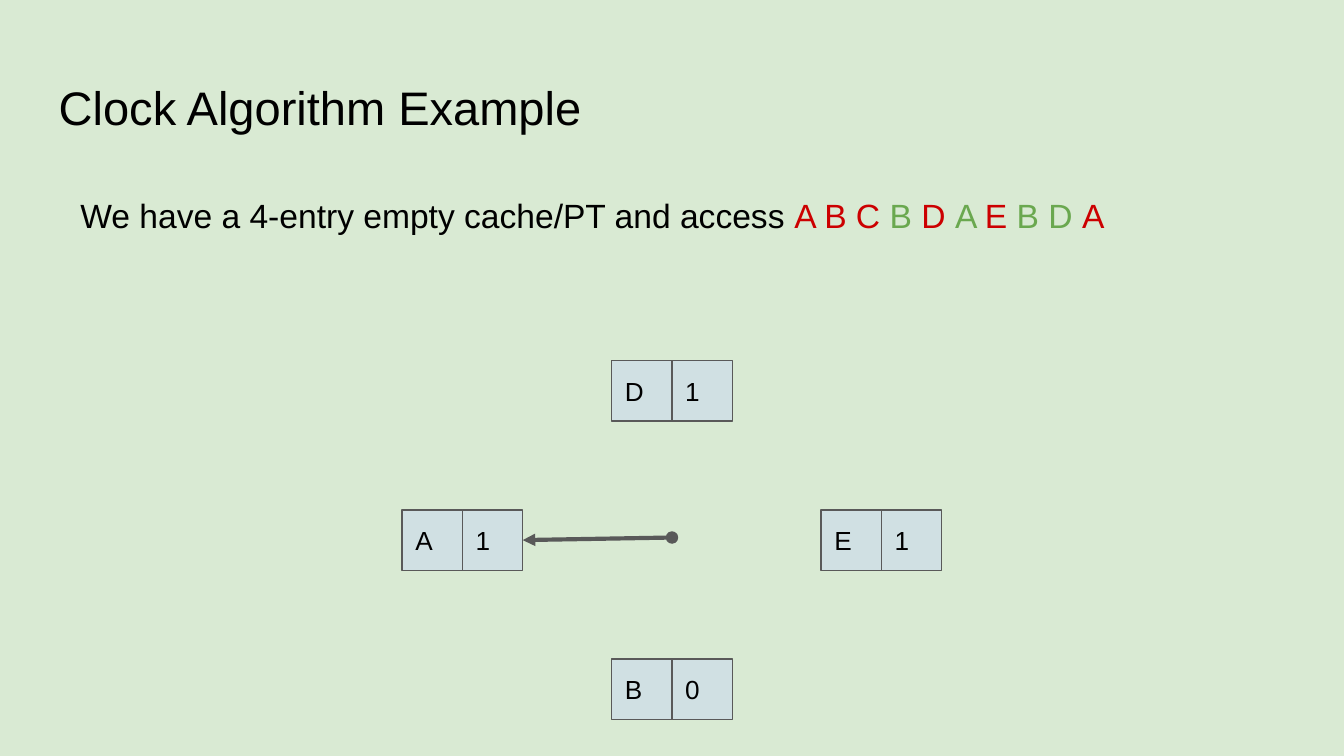
from lxml import etree
from pptx import Presentation
from pptx.dml.color import RGBColor
from pptx.enum.shapes import MSO_CONNECTOR, MSO_SHAPE
from pptx.enum.text import MSO_ANCHOR, PP_ALIGN
from pptx.oxml.ns import qn
from pptx.util import Cm, Pt

RECTANGLE = MSO_SHAPE.RECTANGLE
STRAIGHT = MSO_CONNECTOR.STRAIGHT
TOP, MIDDLE = MSO_ANCHOR.TOP, MSO_ANCHOR.MIDDLE
LEFT = PP_ALIGN.LEFT
RIGHT_SIDE = 3

BACKGROUND, CELL_FILL, OUTLINE = "D9EAD3", "D0E0E3", "595959"
BLACK, MISS, HIT = "000000", "CC0000", "6AA84F"
INSET = Cm(0.25)
CELL = 1.14
CLOCK_X, CLOCK_Y = 12.7, 10.21
RADIUS_X, RADIUS_Y = 3.96, 2.82
HUB_Y = 10.16

ACCESSES = [
    ("A B C ", MISS), ("B ", HIT), ("D ", MISS), ("A ", HIT),
    ("E ", MISS), ("B D ", HIT), ("A", MISS),
]
ENTRIES = [("D", "1", 0, -1), ("E", "1", 1, 0), ("B", "0", 0, 1), ("A", "1", -1, 0)]


def color(hex_value):
    """Return the colour for a hex string."""
    return RGBColor.from_string(hex_value)


def apply_format(target, values):
    """Set each attribute of target from a dict of values."""
    for name, value in values.items():
        setattr(target, name, value)


def write_text(shape, runs, size, anchor=TOP, paragraph_format=None):
    """Write coloured runs as the single paragraph of a shape."""
    frame = shape.text_frame
    apply_format(frame, {
        "word_wrap": True, "vertical_anchor": anchor,
        "margin_left": INSET, "margin_right": INSET,
        "margin_top": INSET, "margin_bottom": INSET,
    })
    paragraph = frame.paragraphs[0]
    apply_format(paragraph, {"alignment": LEFT, **(paragraph_format or {})})
    for words, hex_value in runs:
        run = paragraph.add_run()
        run.text = words
        apply_format(run.font, {"name": "Arial", "size": Pt(size)})
        run.font.color.rgb = color(hex_value)


def add_text(slide, box, runs, size, paragraph_format=None):
    """Add a text box at left, top, width, height in centimetres."""
    label = slide.shapes.add_textbox(*map(Cm, box))
    write_text(label, runs, size, paragraph_format=paragraph_format)


def add_cell(slide, left, top, content):
    """Add one square cell and return it."""
    cell = slide.shapes.add_shape(RECTANGLE, Cm(left), Cm(top), Cm(CELL), Cm(CELL))
    cell.shadow.inherit = False
    cell.fill.solid()
    cell.fill.fore_color.rgb = color(CELL_FILL)
    cell.line.color.rgb = color(OUTLINE)
    cell.line.width = Pt(0.75)
    write_text(cell, [(content, BLACK)], 14, MIDDLE)
    return cell


def add_entry(slide, page, use_bit, column, row):
    """Add a page cell with its use bit and return the bit cell."""
    center_x = CLOCK_X + column * RADIUS_X
    top = CLOCK_Y + row * RADIUS_Y - CELL / 2
    add_cell(slide, center_x - CELL, top, page)
    return add_cell(slide, center_x, top, use_bit)


def add_clock_hand(slide, target_cell):
    """Draw the hand from the clock's hub to the right side of a cell."""
    hub = Cm(CLOCK_X), Cm(HUB_Y)
    hand = slide.shapes.add_connector(STRAIGHT, *hub, *hub)
    hand.end_connect(target_cell, RIGHT_SIDE)
    hand.line.color.rgb = color(OUTLINE)
    hand.line.width = Pt(2.25)
    outline = hand.line._get_or_add_ln()
    for tag, kind in (("a:headEnd", "oval"), ("a:tailEnd", "triangle")):
        etree.SubElement(outline, qn(tag), type=kind, w="med", len="med")
    etree.SubElement(hand._element.spPr, qn("a:effectLst"))


def main():
    """Build and save the clock algorithm slide."""
    presentation = Presentation()
    apply_format(presentation, {"slide_width": Cm(25.4), "slide_height": Cm(14.29)})
    slide = presentation.slides.add_slide(presentation.slide_layouts[6])
    slide.background.fill.solid()
    slide.background.fill.fore_color.rgb = color(BACKGROUND)

    add_text(slide, (0.86, 1.24, 23.67, 1.6), [("Clock Algorithm Example", BLACK)], 25.2)
    question = ("We have a 4-entry empty cache/PT and access ", BLACK)
    add_text(slide, (1.27, 3.33, 22.86, 3.2), [question, *ACCESSES], 18,
             {"line_spacing": 1.15, "space_after": Pt(12)})

    bit_cells = {entry[0]: add_entry(slide, *entry) for entry in ENTRIES}
    add_clock_hand(slide, bit_cells["A"])
    presentation.save("out.pptx")


if __name__ == "__main__":
    main()
